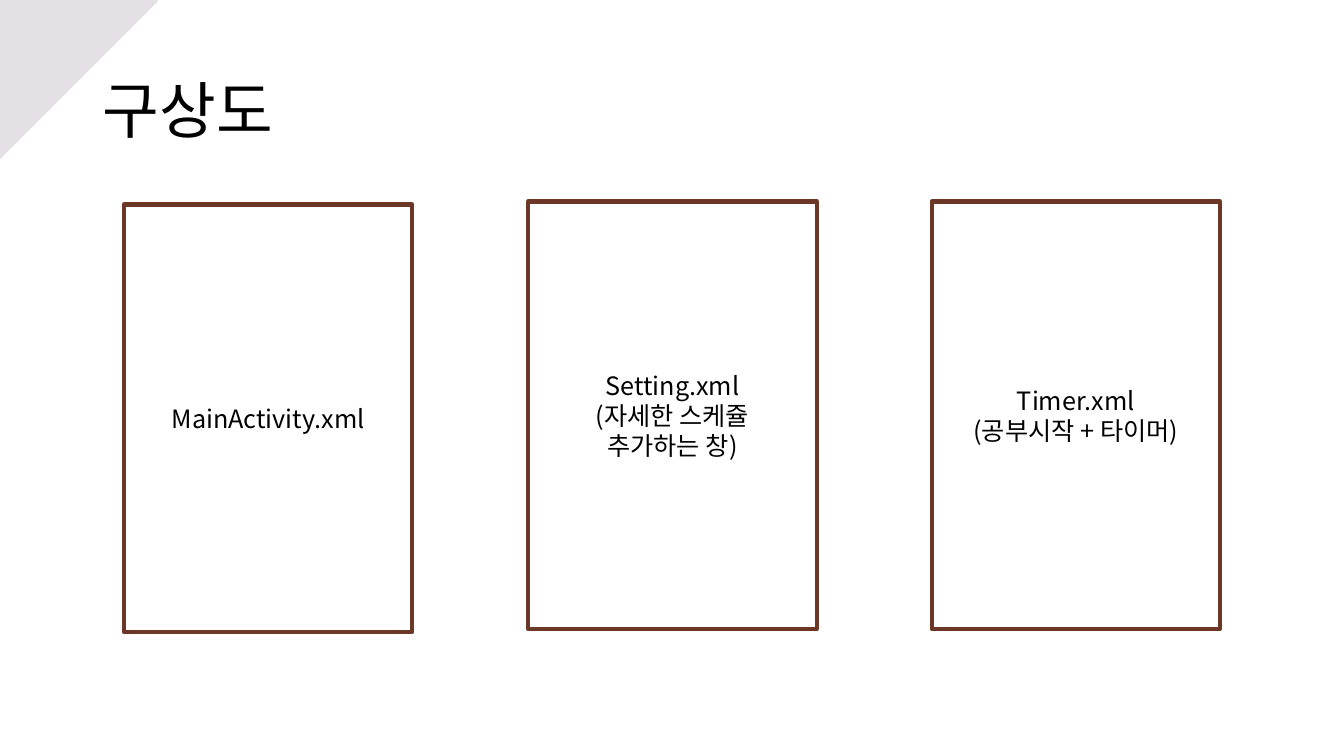
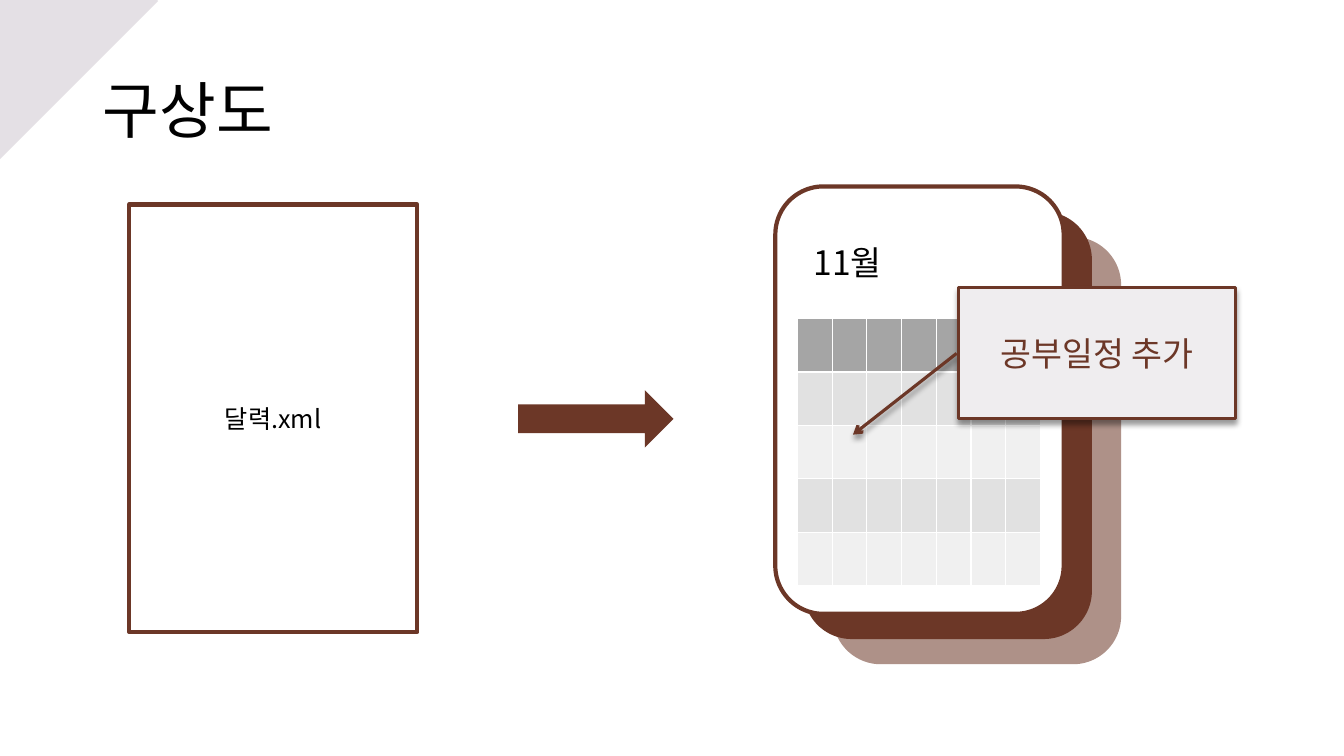
from lxml.etree import SubElement
from pptx import Presentation
from pptx.dml.color import RGBColor
from pptx.enum.shapes import MSO_SHAPE as SHAPE
from pptx.enum.text import MSO_ANCHOR as ANCHOR, PP_ALIGN as ALIGN
from pptx.oxml.ns import qn
from pptx.util import Inches, Pt

FONT = "Noto Sans CJK KR"
HEX = {
    "brown": "6C3727", "white": "FFFFFF", "black": "000000",
    "corner": "E4E0E5", "note": "EFEDEF",
    "head": "A5A5A5", "dark": "E1E1E1", "light": "F0F0F0",
}
RGB = {name: RGBColor.from_string(code) for name, code in HEX.items()}
CARD = (2.86, 4.24)


def draw(slide, kind, at, fill, line=None):
    """Add a flat shape at (left, top, width, height) in inches; line is in points."""
    shape = slide.shapes.add_shape(kind, *map(Inches, at))
    shape.shadow.inherit = False
    shape.fill.solid()
    shape.fill.fore_color.rgb = RGB[fill]
    if line:
        shape.line.color.rgb = RGB["brown"]
        shape.line.width = Pt(line)
    else:
        shape.line.fill.background()
    return shape


def write(shape, text, size, color="black", align=ALIGN.CENTER, anchor=ANCHOR.MIDDLE):
    """Fill a shape with text, one paragraph for each line."""
    frame = shape.text_frame
    frame.text = text
    frame.word_wrap = True
    frame.vertical_anchor = anchor
    for para in frame.paragraphs:
        para.alignment = align
        para.font.name = FONT
        para.font.size = Pt(size)
        para.font.color.rgb = RGB[color]
        props = para._p.pPr.find(qn("a:defRPr"))
        SubElement(props, qn("a:ea")).set("typeface", FONT)
    return frame


deck = Presentation()
deck.slide_width, deck.slide_height = Inches(13.33), Inches(7.5)

# Corner and title on every slide
slides = []
for _ in range(2):
    slide = deck.slides.add_slide(deck.slide_layouts[6])
    corner = draw(slide, SHAPE.RECTANGLE, (-0.87, -0.52, 2.22, 1.54), "corner")
    corner.rotation = 315
    title = slide.shapes.add_textbox(*map(Inches, (0.92, 0.4, 11.5, 1.45)))
    write(title, "구상도", 44, align=ALIGN.LEFT).paragraphs[0].line_spacing = 0.9
    slides.append(slide)
plan, flow = slides

# Screen frames
screens = [
    (plan, 1.23, 2.03, "MainActivity.xml"),
    (plan, 5.24, 2, "Setting.xml\n(자세한 스케쥴\n추가하는 창)"),
    (plan, 9.24, 2, "Timer.xml\n(공부시작 + 타이머)"),
    (flow, 1.28, 2.03, "달력.xml"),
]
for slide, left, top, text in screens:
    write(draw(slide, SHAPE.RECTANGLE, (left, top, *CARD), "white", 3), text, 18)

# Stacked calendar cards
draw(flow, SHAPE.RIGHT_ARROW, (5.14, 3.87, 1.54, 0.57), "brown")
stack = [(8.26, 2.35, "brown", None), (7.97, 2.1, "brown", None), (7.69, 1.85, "white", 3)]
cards = [
    draw(flow, SHAPE.ROUNDED_RECTANGLE, (left, top, *CARD), fill, line)
    for left, top, fill, line in stack
]
tint = cards[0]._element.spPr.find(qn("a:solidFill"))[0]
SubElement(tint, qn("a:alpha")).set("val", "55000")

# Calendar
month = flow.shapes.add_textbox(*map(Inches, (7.97, 2.35, 1, 0.5)))
write(month, "11월", 24, align=ALIGN.LEFT, anchor=ANCHOR.TOP)
bands = ["head", "dark", "light", "dark", "light"]
grid = flow.shapes.add_table(len(bands), 7, *map(Inches, (7.91, 3.16, 2.41, 2.65))).table
for row, band in zip(grid.rows, bands):
    for cell in row.cells:
        cell.fill.solid()
        cell.fill.fore_color.rgb = RGB[band]

# Callout pointing at a day
note = draw(flow, SHAPE.LINE_CALLOUT_1, (9.51, 2.85, 2.74, 1.3), "note", 2.25)
for i, value in enumerate((0.505, -0.008, 1.125, -0.383)):
    note.adjustments[i] = value
write(note, "공부일정 추가", 24, "brown")
props = note._element.spPr
SubElement(props.find(qn("a:ln")), qn("a:tailEnd")).set("type", "arrow")
shade = SubElement(
    props.find(qn("a:effectLst")), qn("a:outerShdw"),
    blurRad=str(Pt(4)), dist=str(Pt(3)), dir="5400000", rotWithShape="0",
)
tone = SubElement(shade, qn("a:srgbClr"), val=HEX["black"])
SubElement(tone, qn("a:alpha")).set("val", "40000")

deck.save("out.pptx")
